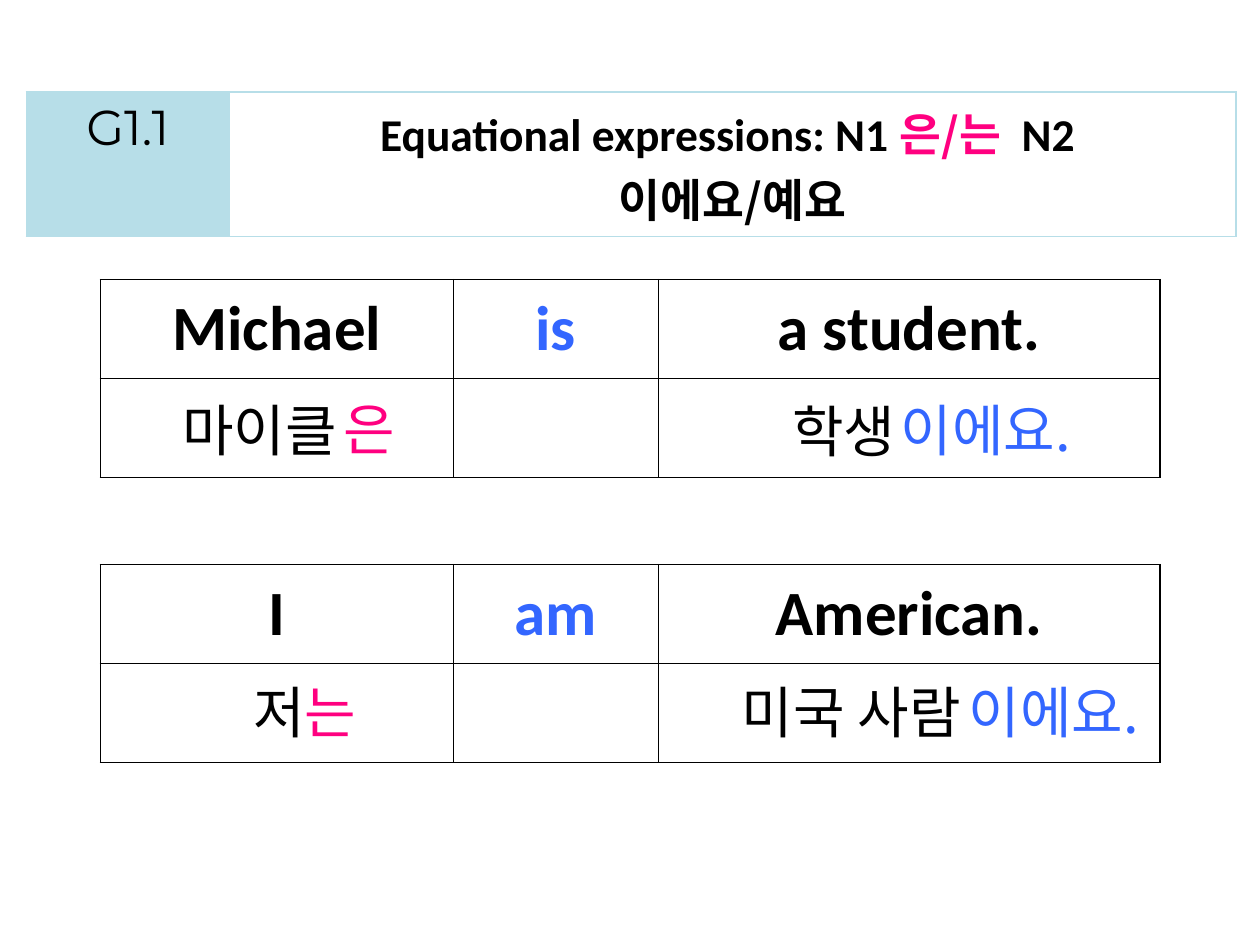
from lxml.etree import SubElement
from pptx import Presentation
from pptx.dml.color import RGBColor
from pptx.enum.text import MSO_ANCHOR as Anchor, MSO_AUTO_SIZE as AutoSize, PP_ALIGN as Align
from pptx.oxml.ns import qn
from pptx.util import Pt

BLACK, BLUE, PINK, PALE = "000000", "3366FF", "FF0080", "B7DEE8"
LATIN, KOREAN = "Calibri", "Noto Sans CJK KR"


def rgb(value):
    return RGBColor.from_string(value)


def add_run(paragraph, text, size, name=LATIN, color=BLACK, bold=True):
    """Add a run whose typeface also applies to East Asian letters."""
    run = paragraph.add_run()
    run.text = text
    for key, value in {"size": Pt(size), "name": name, "bold": bold}.items():
        setattr(run.font, key, value)
    run.font.color.rgb = rgb(color)
    SubElement(run.font._element, qn("a:ea"), typeface=name)


presentation = Presentation()
presentation.slide_width, presentation.slide_height = Pt(720), Pt(540)
slide = presentation.slides.add_slide(presentation.slide_layouts[6])

# Each cell is a list of runs: text, size, then optional font, colour, bold
heading = [
    [("G1.1", 28, "Montserrat", BLACK, False)],
    [("Equational expressions: N1 ", 26), ("은/는 ", 26, KOREAN, PINK),
     (" N2 ", 26), ("\v이에요/예요", 26, KOREAN)],
]
columns = [201.6, 117.2, 286.6]
tables = [
    {"left": 15.1, "top": 52.5, "columns": [115.9, 575.3], "rows": [39.6],
     "border": PALE, "anchor": Anchor.TOP, "cells": heading},
]
for top, words in ((159.8, ("Michael", "is", "a student.")),
                   (322.7, ("I", "am", "American."))):
    cells = [[(word, 36, LATIN, color)]
             for word, color in zip(words, (BLACK, BLUE, BLACK))]
    tables.append({"left": 57.4, "top": top, "columns": columns, "rows": [56.6, 56.6],
                   "border": BLACK, "anchor": Anchor.MIDDLE, "cells": cells})

for data in tables:
    table = slide.shapes.add_table(
        len(data["rows"]), len(data["columns"]), Pt(data["left"]), Pt(data["top"]),
        Pt(sum(data["columns"])), Pt(sum(data["rows"]))).table
    table.first_row = table.horz_banding = False
    for column, width in zip(table.columns, data["columns"]):
        column.width = Pt(width)
    for row, height in zip(table.rows, data["rows"]):
        row.height = Pt(height)
    for cell in table.iter_cells():
        cell.vertical_anchor = data["anchor"]
        properties = cell._tc.get_or_add_tcPr()
        for side in ("lnL", "lnR", "lnT", "lnB"):
            line = SubElement(properties, qn(f"a:{side}"), w=str(Pt(1)))
            fill = SubElement(line, qn("a:solidFill"))
            SubElement(fill, qn("a:srgbClr"), val=data["border"])
        cell.fill.background()
    for cell, runs in zip(table.iter_cells(), data["cells"]):
        paragraph = cell.text_frame.paragraphs[0]
        paragraph.alignment = Align.CENTER
        for run in runs:
            if run[0].startswith("\v"):
                paragraph.add_line_break()
            add_run(paragraph, run[0].lstrip("\v"), *run[1:])
    if data["cells"] is heading:
        label = table.cell(0, 0)
        label.fill.solid()
        label.fill.fore_color.rgb = rgb(PALE)

# Korean sentence parts over the second row of each table
sentence_parts = [
    ("마이클", 97.2, 222.5, 105.8, BLACK),
    ("학생", 445.7, 223.2, 75.6, BLACK),
    ("이에요.", 507.6, 222.5, 119.5, BLUE),
    ("은", 189.4, 221.8, 44.6, PINK),
    ("저", 137.5, 383.8, 44.6, BLACK),
    ("미국 사람", 416.9, 383.8, 145.4, BLACK),
    ("이에요.", 546.5, 383.8, 115.2, BLUE),
    ("는", 167, 383.8, 44.6, PINK),
]
for text, left, top, width, color in sentence_parts:
    shape = slide.shapes.add_textbox(Pt(left), Pt(top), Pt(width), Pt(46))
    shape.text_frame.word_wrap = False
    shape.text_frame.auto_size = AutoSize.SHAPE_TO_FIT_TEXT
    add_run(shape.text_frame.paragraphs[0], text, 32, KOREAN, color, False)

presentation.save("out.pptx")
